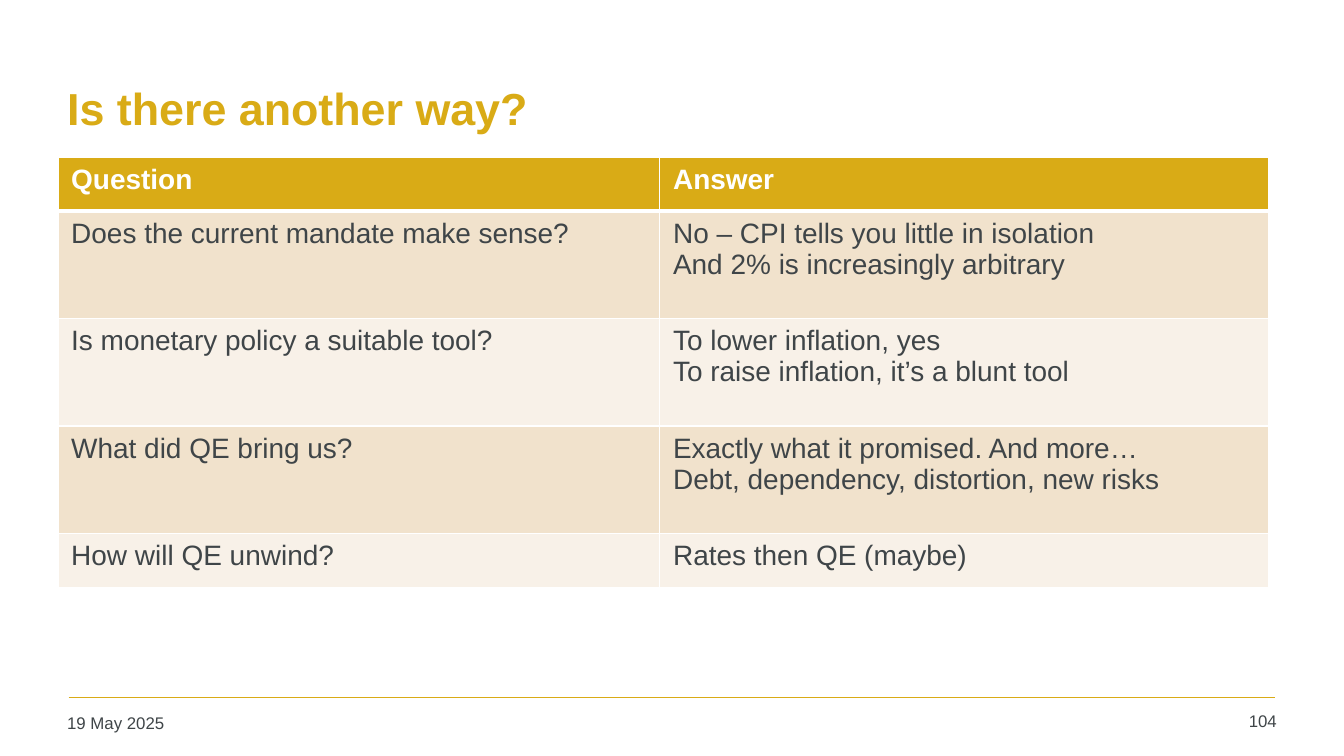
import dataclasses

import lxml.etree
import pptx
import pptx.dml.color
import pptx.enum.shapes
import pptx.enum.text
import pptx.oxml.ns
import pptx.util

In = pptx.util.Inches
Pt = pptx.util.Pt
ALIGN = pptx.enum.text.PP_ALIGN
ANCHOR = pptx.enum.text.MSO_ANCHOR
qn = pptx.oxml.ns.qn


@dataclasses.dataclass(frozen=True)
class Theme:
    font: str = "Arial"
    gold: str = "D9AB16"
    ink: str = "3F4548"
    white: str = "FFFFFF"
    bands: tuple = ("F1E2CC", "F8F1E8")
    title: int = 24
    body: int = 15
    small: int = 9
    rule: int = 1
    header_rule: int = 3


THEME = Theme()
WIDTH = 10
HEIGHT = WIDTH * 9 / 16
TITLE_BOX = (0.43, 0.33, 9.07, 0.94)
TABLE_BOX = (0.43, 1.17, 9.01, 3.2)
FOOTER_BOX = (0.43, 5.19, 9.14, 0.34)
COLUMN_SHARES = (0.497, 0.503)
ROW_UNITS = (1, 2, 2, 2, 1)

ROWS = [
    (["Question"], ["Answer"]),
    (["Does the current mandate make sense?"],
     ["No – CPI tells you little in isolation", "And 2% is increasingly arbitrary"]),
    (["Is monetary policy a suitable tool?"],
     ["To lower inflation, yes", "To raise inflation, it’s a blunt tool"]),
    (["What did QE bring us?"],
     ["Exactly what it promised. And more…", "Debt, dependency, distortion, new risks"]),
    (["How will QE unwind?"], ["Rates then QE (maybe)"]),
]


def rgb(color):
    return pptx.dml.color.RGBColor.from_string(color)


def write(tf, lines, size, color, bold=False, align=ALIGN.LEFT):
    for i, line in enumerate(lines):
        p = tf.add_paragraph() if i else tf.paragraphs[0]
        p.alignment = align
        r = p.add_run()
        r.text = line
        for name, value in {"name": THEME.font, "size": Pt(size), "bold": bold}.items():
            setattr(r.font, name, value)
        r.font.color.rgb = rgb(color)


def add_text(slide, box, text, size, color, anchor=ANCHOR.TOP, **style):
    tf = slide.shapes.add_textbox(*map(In, box)).text_frame
    frame = {"word_wrap": True, "vertical_anchor": anchor,
             "margin_left": In(0.07), "margin_right": In(0.07),
             "margin_top": In(0.04), "margin_bottom": In(0.04)}
    for name, value in frame.items():
        setattr(tf, name, value)
    write(tf, [text], size, color, **style)


def set_borders(cell, widths):
    """Draw white borders; widths follow the order left, right, top, bottom."""
    tc_pr = cell._tc.get_or_add_tcPr()
    for i, (side, width) in enumerate(zip("LRTB", widths)):
        ln = lxml.etree.Element(qn(f"a:ln{side}"), w=str(Pt(width)))
        fill = lxml.etree.SubElement(ln, qn("a:solidFill"))
        lxml.etree.SubElement(fill, qn("a:srgbClr"), val=THEME.white)
        tc_pr.insert(i, ln)


def add_title(slide, box):
    add_text(slide, box, "Is there another way?", THEME.title, THEME.gold,
             anchor=ANCHOR.MIDDLE, bold=True)


def add_question_table(slide, box):
    width, height = box[2:]
    table = slide.shapes.add_table(len(ROWS), len(COLUMN_SHARES), *map(In, box)).table
    for column, share in zip(table.columns, COLUMN_SHARES):
        column.width = In(width * share)
    for row, units in zip(table.rows, ROW_UNITS):
        row.height = In(height * units / sum(ROW_UNITS))
    for i, answers in enumerate(ROWS):
        header = i == 0
        top = THEME.header_rule if i == 1 else THEME.rule
        bottom = THEME.header_rule if header else THEME.rule
        for j, lines in enumerate(answers):
            cell = table.cell(i, j)
            cell.fill.solid()
            cell.fill.fore_color.rgb = rgb(THEME.gold if header else THEME.bands[(i - 1) % 2])
            set_borders(cell, (THEME.rule, THEME.rule, top, bottom))
            write(cell.text_frame, lines, THEME.body,
                  THEME.white if header else THEME.ink, bold=header)


def add_footer(slide, box):
    left, top, width, height = box
    inset, date_width, number_width, text_height = 0.08, 2.2, 0.71, 0.28
    right = left + width
    text_top = top + height - text_height
    line = slide.shapes.add_connector(
        pptx.enum.shapes.MSO_CONNECTOR.STRAIGHT,
        In(left + inset), In(top), In(right - inset), In(top))
    line.line.color.rgb = rgb(THEME.gold)
    line.line.width = Pt(THEME.rule)
    lxml.etree.SubElement(line._element.spPr, qn("a:effectLst"))
    add_text(slide, (left, text_top + 0.01, date_width, text_height - 0.01),
             "19 May 2025", THEME.small, THEME.ink)
    add_text(slide, (right - number_width, text_top, number_width, text_height),
             "104", THEME.small, THEME.ink, align=ALIGN.RIGHT)


def main():
    prs = pptx.Presentation()
    prs.slide_width, prs.slide_height = In(WIDTH), In(HEIGHT)
    slide = prs.slides.add_slide(prs.slide_layouts[6])
    add_footer(slide, FOOTER_BOX)
    add_title(slide, TITLE_BOX)
    add_question_table(slide, TABLE_BOX)
    prs.save("out.pptx")


if __name__ == "__main__":
    main()
